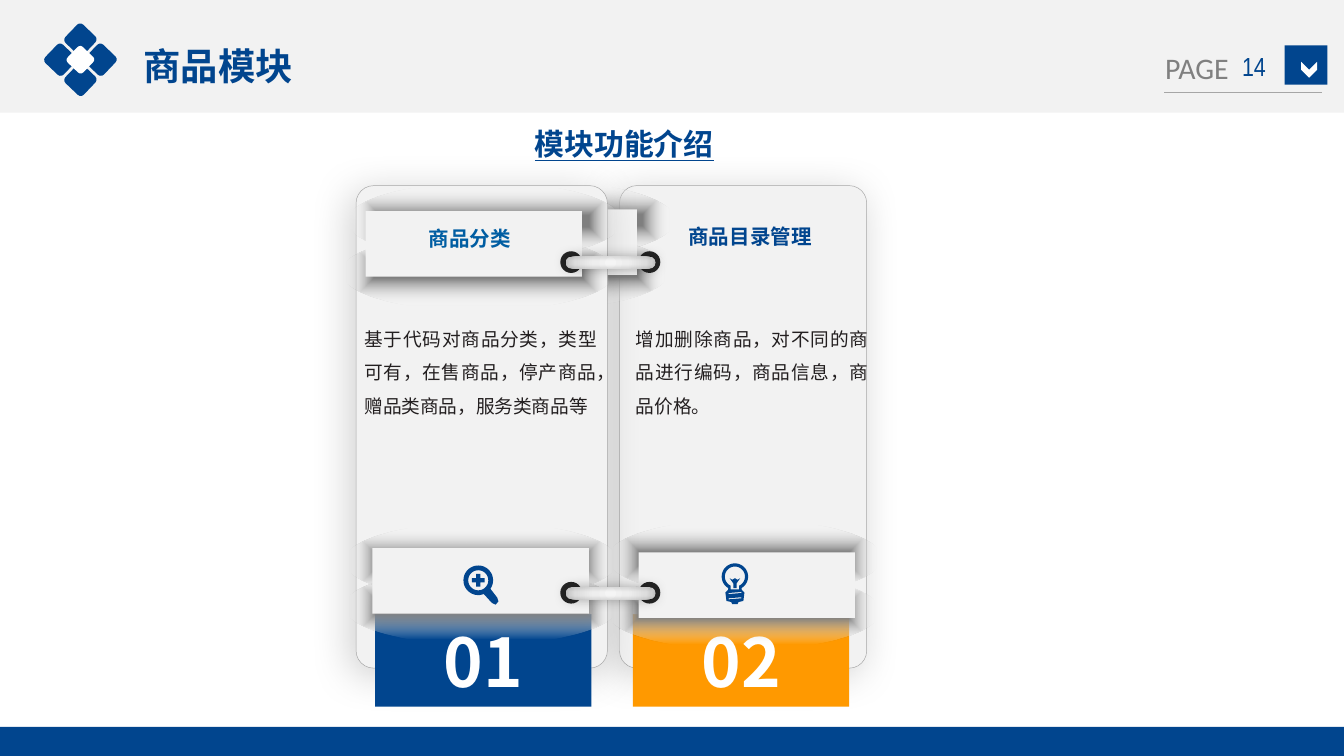
"""Build the product module slide with two ring-bound feature cards."""
from dataclasses import dataclass
from math import cos, radians, sin

from lxml import etree
from pptx import Presentation
from pptx.dml.color import RGBColor
from pptx.enum.shapes import MSO_CONNECTOR, MSO_SHAPE
from pptx.enum.text import MSO_ANCHOR, MSO_AUTO_SIZE, PP_ALIGN
from pptx.oxml.ns import qn
from pptx.util import Cm, Pt

RECT = MSO_SHAPE.RECTANGLE
ROUND = MSO_SHAPE.ROUNDED_RECTANGLE
OVAL = MSO_SHAPE.OVAL
CHEVRON = MSO_SHAPE.CHEVRON
STRAIGHT = MSO_CONNECTOR.STRAIGHT
LEFT, CENTER, JUSTIFY = PP_ALIGN.LEFT, PP_ALIGN.CENTER, PP_ALIGN.JUSTIFY


@dataclass(frozen=True)
class Theme:
    blue: str = "01458E"
    title_blue: str = "005DA2"
    orange: str = "FF9900"
    panel: str = "F2F2F2"
    white: str = "FFFFFF"
    edge: str = "A6A6A6"
    grey: str = "808080"
    ink: str = "231F20"
    hole: str = "262626"
    black: str = "000000"
    cjk: str = "Noto Sans CJK SC"
    latin: str = "Calibri"
    narrow: str = "Arial Narrow"
    number: int = 36
    heading: int = 20
    section: int = 16
    page: int = 14
    title: int = 11
    body: int = 10


T = Theme()
GLOW = ((15, T.grey, 100), (86, T.white, 0))
METAL = ((0, T.white, 100), (25, "FBFBFB", 100), (37, "F8F8F8", 100),
         (78, "E7E7E7", 100), (89, "D9D9D9", 100))
SHEEN = ((29, T.black, 2), (100, T.black, 13))


def rgb(color):
    return RGBColor.from_string(color)


def add_color(parent, color, alpha):
    clr = etree.SubElement(parent, qn("a:srgbClr"), val=color)
    etree.SubElement(clr, qn("a:alpha"), val=str(alpha * 1000))


def style(sp, fill, line=None):
    sp.shadow.inherit = False
    sp.fill.solid()
    sp.fill.fore_color.rgb = rgb(fill)
    if line:
        sp.line.color.rgb = rgb(line)
        sp.line.width = Pt(0.25)
    else:
        sp.line.fill.background()


def add_box(shapes, kind, box, fill, line=None, adj=None, rotation=0):
    sp = shapes.add_shape(kind, *map(Cm, box))
    style(sp, fill, line)
    if adj is not None:
        sp.adjustments[0] = adj
    sp.rotation = rotation
    return sp


def set_gradient(sp, stops, path):
    sp.fill.gradient()
    grad = sp._element.spPr.find(qn("a:gradFill"))
    for child in list(grad):
        grad.remove(child)
    gs_list = etree.SubElement(grad, qn("a:gsLst"))
    for pos, color, alpha in stops:
        gs = etree.SubElement(gs_list, qn("a:gs"), pos=str(pos * 1000))
        add_color(gs, color, alpha)
    node = etree.SubElement(grad, qn("a:path"), {"path": path})
    etree.SubElement(node, qn("a:fillToRect"), dict.fromkeys("ltrb", "50000"))


def set_shadow(sp, alpha, blur, dist=0, angle=0):
    effects = sp._element.spPr.find(qn("a:effectLst"))
    shadow = etree.SubElement(
        effects, qn("a:outerShdw"), blurRad=str(Pt(blur)), dist=str(Pt(dist)),
        dir=str(angle * 60000), algn="ctr", rotWithShape="0")
    add_color(shadow, T.black, alpha)


def add_text(s, box, text, size, color, font=T.cjk, bold=False, underline=False,
             align=LEFT, wrap=False, spacing=None, inset=None, middle=False):
    tf = s.shapes.add_textbox(*map(Cm, box)).text_frame
    tf.word_wrap = wrap
    tf.auto_size = MSO_AUTO_SIZE.NONE if middle else MSO_AUTO_SIZE.SHAPE_TO_FIT_TEXT
    if middle:
        tf.vertical_anchor = MSO_ANCHOR.MIDDLE
    if inset:
        tf.margin_left = tf.margin_right = Cm(inset[0])
        tf.margin_top = tf.margin_bottom = Cm(inset[1])
    p = tf.paragraphs[0]
    p.alignment = align
    if spacing:
        p.line_spacing = spacing
    r = p.add_run()
    r.text = text
    r.font.size = Pt(size)
    r.font.bold = bold
    r.font.underline = underline
    r.font.color.rgb = rgb(color)
    r.font.name = font
    etree.SubElement(r._r.get_or_add_rPr(), qn("a:ea"), typeface=font)


def add_card_text(s, box, text, size, color, **options):
    add_text(s, box, text, size, color, inset=(0.18, 0.09), **options)


def add_body(s, x, text):
    add_card_text(s, (x, 5.89, 4.75, 2.11), text, T.body, T.ink,
                  align=JUSTIFY, wrap=True, spacing=1.5)


def add_card(s, x, width, tab_x, number, color):
    card = add_box(s.shapes, ROUND, (x, 3.51, width, 9.12), T.panel, T.edge, 0.07)
    set_shadow(card, 18, 22, 5, 135)
    add_box(s.shapes, RECT, (tab_x, 11.61, 4.09, 1.75), color)
    strip = add_box(s.shapes, RECT, (tab_x, 11.2, 4.09, 0.41), T.panel)
    set_shadow(strip, 25, 6, 4, 90)
    add_card_text(s, (tab_x + 1.06, 11.63, 1.98, 1.73), number, T.number, T.white,
                  bold=True, align=CENTER)


def add_band(s, x, y, *glow_offsets):
    shapes = s.shapes.add_group_shape().shapes
    for dx, dy in glow_offsets:
        glow = add_box(shapes, OVAL, (x + dx, y + dy, 5.16, 1.45), T.grey)
        set_gradient(glow, GLOW, "shape")
    add_box(shapes, RECT, (x, y, 4.09, 1.24), T.panel)


def add_ring(s, y):
    shapes = s.shapes.add_group_shape().shapes
    for x in (10.59, 12.07):
        add_box(shapes, OVAL, (x, y, 0.41, 0.41), T.hole)
    for stops, path, alpha, blur in ((METAL, "circle", 30, 7), (SHEEN, "rect", 40, 5)):
        bar = add_box(shapes, ROUND, (10.69, y + 0.1, 1.7, 0.23), T.white, adj=0.5)
        set_gradient(bar, stops, path)
        set_shadow(bar, alpha, blur)


def arc(x, y, radius, start=0, end=360):
    angles = [radians(start + (end - start) * i / 40) for i in range(41)]
    return [(x + radius * cos(a), y + radius * sin(a)) for a in angles]


def add_icon(s, *contours):
    outlines = [[(Cm(x), Cm(y)) for x, y in contour] for contour in contours]
    builder = s.shapes.build_freeform(*outlines[0][0])
    for i, points in enumerate(outlines):
        if i:
            builder.move_to(*points[0])
        builder.add_line_segments(points[1:], close=True)
    style(builder.convert_to_shape(), T.blue)


def add_magnifier(s):
    x, y, a, b = 9.04, 10.97, 0.12, 0.04
    handle = [(9.4, 11.3), (9.42, 11.37), (9.37, 11.43), (9.3, 11.4)]
    plus = [(-b, -a), (b, -a), (b, -b), (a, -b), (a, b), (b, b),
            (b, a), (-b, a), (-b, b), (-a, b), (-a, -b), (-b, -b)]
    add_icon(s, arc(x, y, 0.28, 68, 395) + handle, arc(x, y, 0.19),
             [(x + dx, y + dy) for dx, dy in plus])


def add_bulb(s):
    x, y = 13.89, 10.9
    half_base = [(0.13, 0.25), (0.18, 0.3), (0.16, 0.46), (0.07, 0.48), (0.05, 0.52)]
    base = half_base + [(-dx, dy) for dx, dy in reversed(half_base)]
    filament = [(-0.1, 0.03), (-0.05, 0.06), (0, 0.03), (0.05, 0.06), (0.1, 0.03),
                (0.03, 0.13), (0.03, 0.22), (-0.03, 0.22), (-0.03, 0.13)]
    slits = [[(-0.12, dy + 0.02), (0.12, dy), (0.12, dy + 0.02), (-0.12, dy + 0.04)]
             for dy in (0.29, 0.39)]
    parts = [[(x + dx, y + dy) for dx, dy in part] for part in (base, filament, *slits)]
    add_icon(s, arc(x, y, 0.25, 120, 420) + parts[0],
             arc(x, y, 0.19, 115, 425) + [(x + 0.08, y + 0.24), (x - 0.08, y + 0.24)],
             *parts[1:])


def add_frame(s):
    add_box(s.shapes, RECT, (0, 0, 25.4, 2.13), T.panel)
    add_box(s.shapes, RECT, (0, 13.74, 25.4, 0.55), T.blue)
    add_text(s, (21.77, 0.81, 1.73, 0.94), "PAGE", T.section, T.grey, T.latin)
    add_box(s.shapes, RECT, (24.28, 0.86, 0.81, 0.74), T.blue)
    add_box(s.shapes, CHEVRON, (24.59, 1.17, 0.3, 0.3), T.white, rotation=90)
    rule = s.shapes.add_connector(STRAIGHT, Cm(22), Cm(1.75), Cm(24.99), Cm(1.75))
    rule.line.color.rgb = rgb(T.edge)
    rule.line.width = Pt(0.75)
    etree.SubElement(rule._element.spPr, qn("a:effectLst"))


def add_emblem(s):
    shapes = s.shapes.add_group_shape().shapes
    tiles = [(dx, dy, 0.48, T.blue) for dx, dy in ((0, -0.38), (-0.38, 0), (0.38, 0), (0, 0.38))]
    for dx, dy, size, color in tiles + [(0, 0, 0.41, T.white)]:
        box = (1.52 + dx - size / 2, 1.13 + dy - size / 2, size, size)
        add_box(shapes, ROUND, box, color, rotation=43.8)


def main():
    prs = Presentation()
    prs.slide_width, prs.slide_height = Cm(25.4), Cm(14.29)
    s = prs.slides.add_slide(prs.slide_layouts[6])
    add_frame(s)
    add_card(s, 11.71, 4.67, 11.96, "02", T.orange)
    add_band(s, 7.95, 3.96, (-0.46, 0.43), (-0.36, -0.53))
    add_band(s, 12.07, 10.44, (-0.61, 0.38), (-0.58, -0.61))
    add_card_text(s, (12.83, 4.14, 2.74, 0.66), "商品目录管理", T.title, T.blue, bold=True)
    add_bulb(s)
    add_card(s, 6.73, 4.75, 7.09, "01", T.blue)
    add_body(s, 6.71, "基于代码对商品分类，类型可有，在售商品，停产商品，赠品类商品，服务类商品等")
    add_band(s, 7.04, 10.36, (-0.53, 0.38), (-0.53, -0.48))
    add_magnifier(s)
    add_ring(s, 11)
    add_text(s, (23.09, 0.86, 1.22, 0.76), "14", T.page, T.blue, T.narrow,
             align=CENTER, wrap=True, middle=True)
    add_emblem(s)
    add_text(s, (2.46, 0.69, 3.35, 1.12), "商品模块", T.heading, T.blue, bold=True)
    add_text(s, (9.86, 2.26, 3.94, 0.94), "模块功能介绍", T.section, T.blue,
             bold=True, underline=True)
    add_band(s, 6.91, 3.99, (-0.46, 0.43), (-0.33, -0.53))
    add_card_text(s, (7.92, 4.19, 1.96, 0.66), "商品分类", T.title, T.title_blue, bold=True)
    add_ring(s, 4.75)
    add_body(s, 11.84, "增加删除商品，对不同的商品进行编码，商品信息，商品价格。")
    prs.save("out.pptx")


if __name__ == "__main__":
    main()
